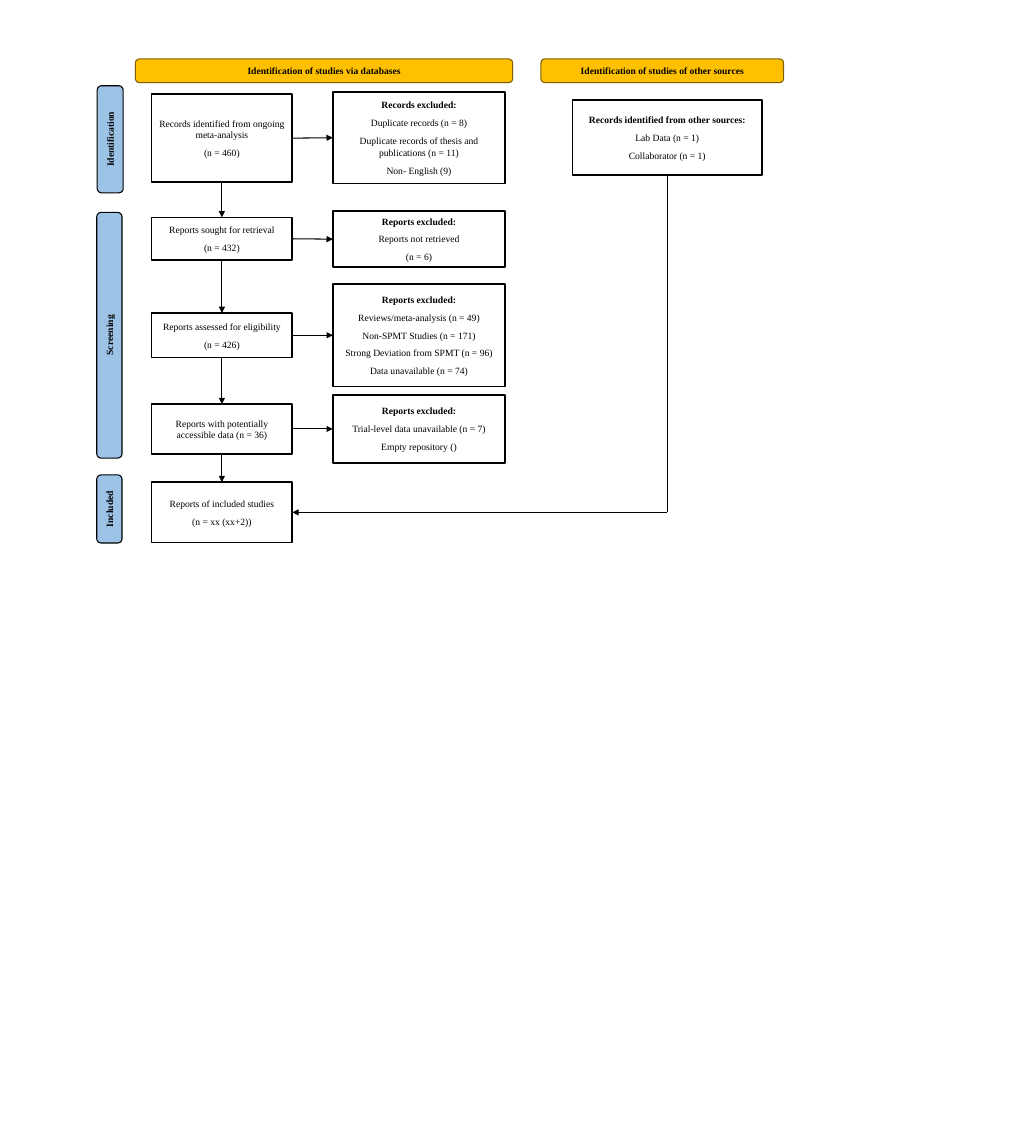
from lxml.etree import SubElement
from pptx import Presentation
from pptx.dml.color import RGBColor
from pptx.enum.shapes import MSO_CONNECTOR, MSO_SHAPE
from pptx.enum.text import MSO_ANCHOR, PP_ALIGN
from pptx.oxml.ns import qn
from pptx.util import Inches, Pt

# Content: text with its place in inches
HEADS = [  # text, left, width
    ("Identification of studies via databases", 1.77, 4.93),
    ("Identification of studies of other sources", 7.07, 3.17),
]
STAGES = [  # text, centre x, centre y, length, thickness
    ("Identification", 1.44, 1.82, 1.4, 0.34),
    ("Screening", 1.43, 4.38, 3.21, 0.33),
    ("Included", 1.43, 6.65, 0.89, 0.33),
]
STEPS = [  # paragraphs, top, height
    (["Records identified from ongoing meta-analysis", "(n = 460)"], 1.23, 1.15),
    (["Reports sought for retrieval", "(n = 432)"], 2.84, 0.56),
    (["Reports assessed for eligibility", "(n = 426)"], 4.09, 0.58),
    (["Reports with potentially accessible data (n = 36)"], 5.28, 0.65),
    (["Reports of included studies", "(n = xx (xx+2))"], 6.3, 0.79),
]
DROPS = [  # paragraphs, top, height; one beside each step but the last
    (["Records excluded:", "Duplicate records (n = 8)",
      "Duplicate records of thesis and publications (n = 11)",
      "Non- English (9)"], 1.2, 1.2),
    (["Reports excluded:", "Reports not retrieved", "(n = 6)"], 2.76, 0.73),
    (["Reports excluded:", "Reviews/meta-analysis (n = 49)",
      "Non-SPMT Studies (n = 171)", "Strong Deviation from SPMT (n = 96)",
      "Data unavailable (n = 74)"], 3.71, 1.34),
    (["Reports excluded:", "Trial-level data unavailable (n = 7)",
      "Empty repository ()"], 5.16, 0.89),
]
OTHER = ["Records identified from other sources:", "Lab Data (n = 1)",
         "Collaborator (n = 1)"]
BLACK, GOLD, BROWN, BLUE = "000000", "FFC000", "7F5F00", "9CC2E5"
TOP, LEFT, BOTTOM, RIGHT = range(4)

deck = Presentation()
deck.slide_width, deck.slide_height = Inches(13.33), Inches(15)
slide = deck.slides.add_slide(deck.slide_layouts[6])


def color(code):
    return RGBColor.from_string(code)


def write(frame, lines, bold=0, after=0):
    """Write centred paragraphs, the first `bold` of them in bold."""
    frame.word_wrap = True
    frame.vertical_anchor = MSO_ANCHOR.MIDDLE
    for i, line in enumerate(lines):
        para = frame.add_paragraph() if i else frame.paragraphs[0]
        para.alignment = PP_ALIGN.CENTER
        para.space_after = Pt(after)
        run = para.add_run()
        run.text = line
        run.font.name, run.font.size = "Times New Roman", Pt(9)
        run.font.bold = i < bold
        run.font.color.rgb = color(BLACK)


def draw(kind, place, line=BLACK, weight=1, fill=None):
    shape = slide.shapes.add_shape(kind, *map(Inches, place))
    shape.shadow.inherit = False
    if fill:
        shape.fill.solid()
        shape.fill.fore_color.rgb = color(fill)
    else:
        shape.fill.background()
    shape.line.color.rgb = color(line)
    shape.line.width = Pt(weight)
    return shape


def box(lines, *place, bold=0):
    shape = draw(MSO_SHAPE.RECTANGLE, place, weight=1.5)
    write(shape.text_frame, lines, bold=bold, after=6)
    return shape


def pill(text, *place, **style):
    shape = draw(MSO_SHAPE.FLOWCHART_ALTERNATE_PROCESS, place, **style)
    write(shape.text_frame, [text], bold=1)
    return shape


def link(start=None, end=None, begin=(0, 0), stop=(0, 0), arrow=True):
    """Join (shape, side) pairs; an open end sits at a point."""
    wire = slide.shapes.add_connector(MSO_CONNECTOR.STRAIGHT, *begin, *stop)
    if start:
        wire.begin_connect(*start)
    if end:
        wire.end_connect(*end)
    wire.line.color.rgb = color(BLACK)
    wire.line.width = Pt(1)
    if arrow:
        SubElement(wire.line._get_or_add_ln(), qn("a:tailEnd"), type="triangle")
    SubElement(wire._element.spPr, qn("a:effectLst"))


# Headings and upright stage labels
for text, left, width in HEADS:
    pill(text, left, 0.77, width, 0.31, fill=GOLD, line=BROWN)
for text, x, y, long, thick in STAGES:
    label = pill(text, x - long / 2, y - thick / 2, long, thick, fill=BLUE)
    label.rotation = 270

# Boxes of the flow
steps = [box(lines, 1.98, top, 1.84, high) for lines, top, high in STEPS]
drops = [box(lines, 4.35, top, 2.25, high, bold=1) for lines, top, high in DROPS]
other = box(OTHER, 7.48, 1.31, 2.48, 0.98, bold=1)

# Arrows down the steps and across to the exclusions
for step, after in zip(steps, steps[1:]):
    link((step, BOTTOM), (after, TOP))
for step, drop in zip(steps, drops):
    link((step, RIGHT), (drop, LEFT))

# Other sources turn a corner into the last step
last = steps[-1]
corner = (other.left + other.width // 2, last.top + last.height // 2)
link(start=(other, BOTTOM), stop=corner, arrow=False)
link(begin=corner, end=(last, RIGHT))

deck.save("out.pptx")
